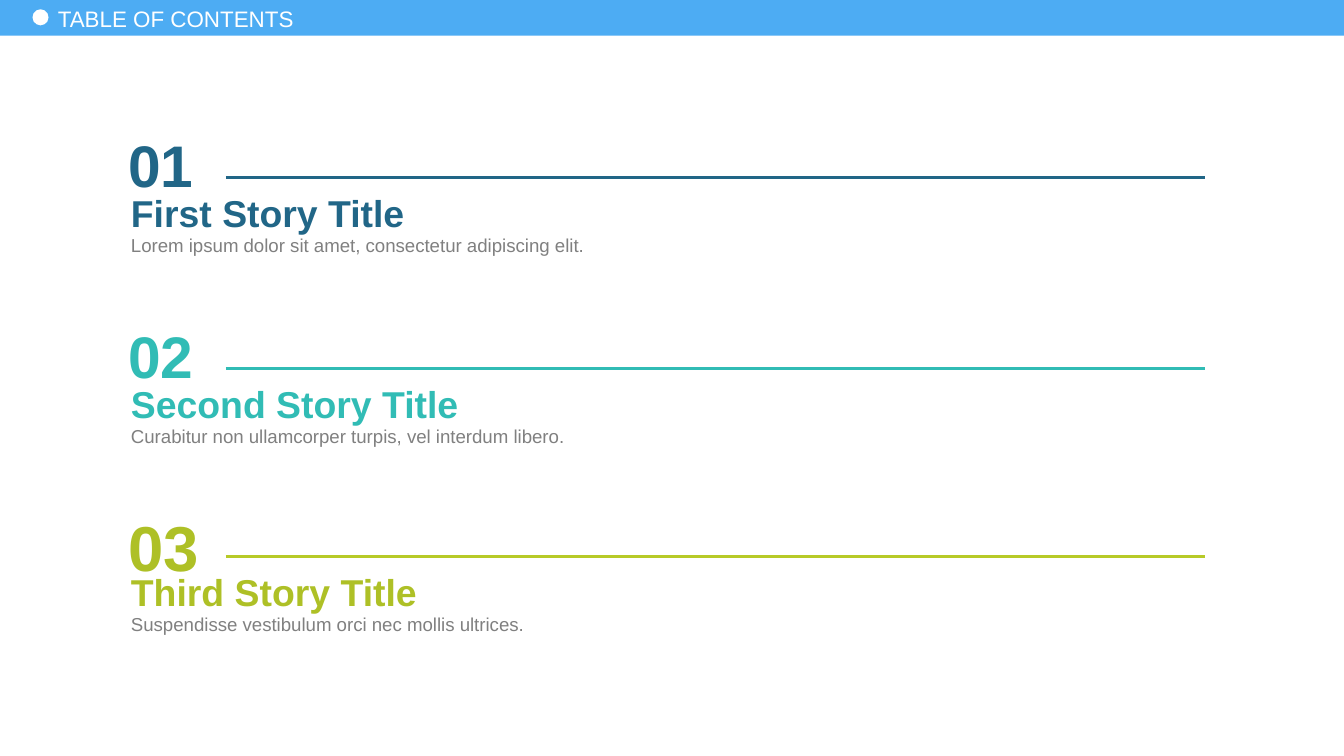
from dataclasses import dataclass

from lxml import etree
from pptx import Presentation
from pptx.dml.color import RGBColor
from pptx.enum import shapes, text
from pptx.oxml import ns
from pptx.util import Pt


@dataclass(frozen=True)
class Theme:
    font: str = "Arial"
    bar: str = "4DACF3"
    white: str = "FFFFFF"
    grey: str = "808080"
    head: float = 12
    story: float = 20
    note: float = 10


THEME = Theme()

# Top, number, number size, title, note, text colour, line colour
STORIES = [
    (65.5, "01", 31.4, "First Story Title",
     "Lorem ipsum dolor sit amet, consectetur adipiscing elit.", "216687", "216687"),
    (167.8, "02", 31.4, "Second Story Title",
     "Curabitur non ullamcorper turpis, vel interdum libero.", "31BCB5", "31BCB5"),
    (268.6, "03", 34, "Third Story Title",
     "Suspendisse vestibulum orci nec mollis ultrices.", "AEC026", "B7CA28"),
]


def place(shape, left, top, width, height):
    shape.left, shape.top = Pt(left), Pt(top)
    shape.width, shape.height = Pt(width), Pt(height)


def write(shape, words, size, color, bold=False, wrap=True):
    """Fill a text box or placeholder with one left-aligned line."""
    frame = shape.text_frame
    frame.text = words
    frame.word_wrap = wrap
    frame.auto_size = text.MSO_AUTO_SIZE.NONE
    frame.margin_left = frame.margin_right = Pt(6.75)
    frame.margin_top = frame.margin_bottom = Pt(3.4)
    para = frame.paragraphs[0]
    para.alignment = text.PP_ALIGN.LEFT
    font = para.runs[0].font
    font.name, font.size, font.bold = THEME.font, Pt(size), bold
    font.color.rgb = RGBColor.from_string(color)
    return para


def space(para):
    """Set a 20% gap above, with no bullet or indent."""
    props = para._p.get_or_add_pPr()
    props.set("marL", "0")
    props.set("indent", "0")
    gap = etree.SubElement(props, ns.qn("a:spcBef"))
    etree.SubElement(gap, ns.qn("a:spcPct")).set("val", "20000")
    etree.SubElement(props, ns.qn("a:buNone"))


def add_fill(slide, kind, color, depth, *box):
    """Add a plain filled shape behind the text."""
    shape = slide.shapes.add_shape(kind, *map(Pt, box))
    shape.shadow.inherit = False
    shape.fill.solid()
    shape.fill.fore_color.rgb = RGBColor.from_string(color)
    shape.line.fill.background()
    slide.shapes._spTree.insert(depth, shape._element)


def add_rule(slide, top, color):
    rule = slide.shapes.add_connector(
        shapes.MSO_CONNECTOR.STRAIGHT, Pt(121), Pt(top), Pt(645.8), Pt(top))
    rule.line.color.rgb = RGBColor.from_string(color)
    rule.line.width = Pt(1.5)
    etree.SubElement(rule._element.spPr, ns.qn("a:effectLst"))


def add_text(slide):
    return slide.shapes.add_textbox(0, 0, 0, 0)


def add_story(slide, holder, story):
    top, number, size, title, note, color, line = story
    place(holder, 61.9, top, 632.2, 36.7)
    space(write(holder, number, size, color, bold=True))
    add_rule(slide, top + 29.7, line)

    box = add_text(slide)
    place(box, 63.4, top + 33.1, 632.2, 25.9)
    space(write(box, title, THEME.story, color, bold=True, wrap=False))

    box = add_text(slide)
    place(box, 63.4, top + 56.4, 632.2, 18.7)
    space(write(box, note, THEME.note, THEME.grey, wrap=False))


def main():
    deck = Presentation()
    deck.slide_width, deck.slide_height = Pt(720), Pt(405)
    slide = deck.slides.add_slide(deck.slide_layouts[3])

    # Header bar with its dot and title
    kinds = shapes.MSO_SHAPE
    add_fill(slide, kinds.RECTANGLE, THEME.bar, 2, 0, -1.2, 720, 20.3)
    add_fill(slide, kinds.OVAL, THEME.white, 3, 17.4, 5, 8.6, 8.6)
    head = slide.shapes.title
    place(head, 24.2, -0.5, 223.2, 20.9)
    write(head, "TABLE OF CONTENTS", THEME.head, THEME.white)
    head.text_frame.vertical_anchor = text.MSO_ANCHOR.MIDDLE

    # Stories: two body placeholders, then a text box
    holders = [slide.placeholders[1], slide.placeholders[2], add_text(slide)]
    for holder, story in zip(holders, STORIES):
        add_story(slide, holder, story)

    deck.save("out.pptx")


if __name__ == "__main__":
    main()
